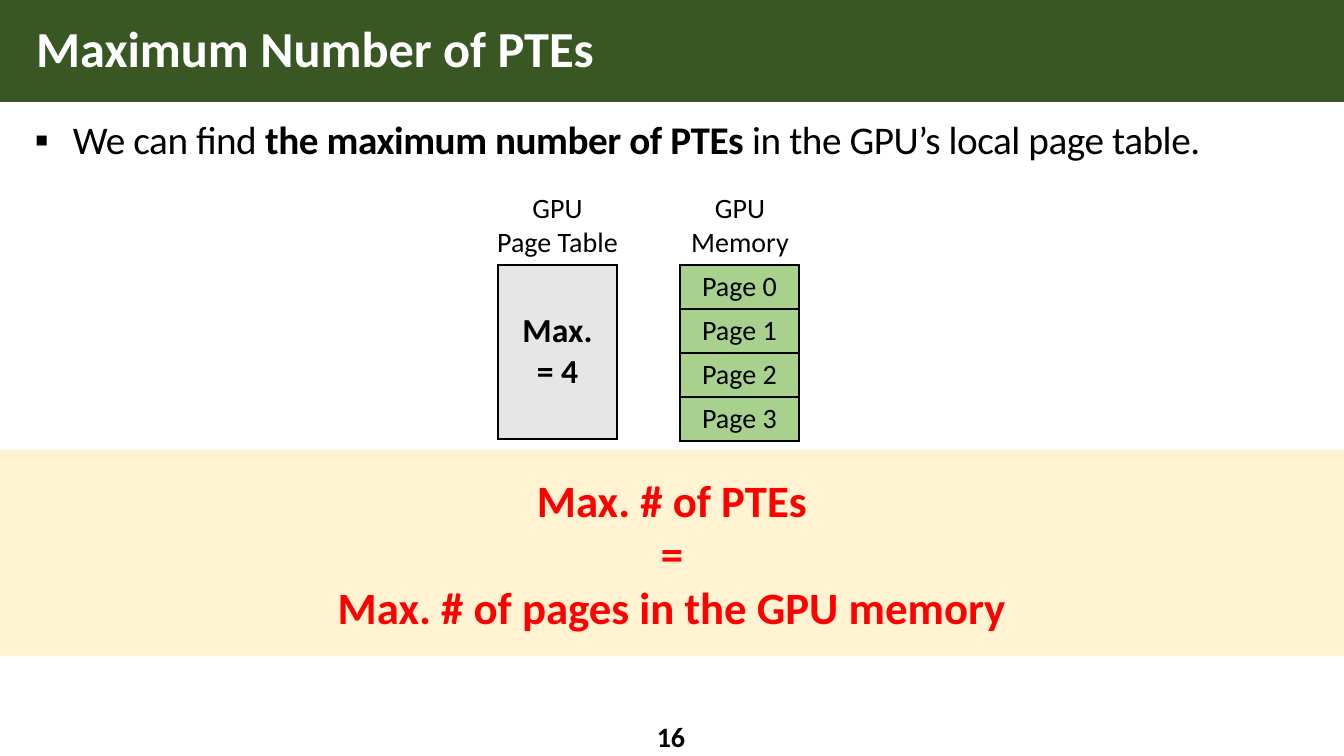
"""Build the slide on the maximum number of page table entries."""
from lxml.etree import SubElement
from pptx import Presentation
from pptx.dml.color import RGBColor
from pptx.enum.shapes import MSO_SHAPE
from pptx.enum.text import MSO_ANCHOR, MSO_AUTO_SIZE, PP_ALIGN
from pptx.oxml import parse_xml
from pptx.oxml.ns import nsdecls, qn
from pptx.util import Emu, Pt

SCALE = 914400 / 100.8
COLORS = {name: RGBColor.from_string(value) for name, value in {
    "band": "385723", "white": "FFFFFF", "black": "000000", "red": "FF0000",
    "page": "A9D18E", "page_table": "E7E6E6", "callout": "FFF2CC"}.items()}


def px(*lengths):
    return [Emu(round(length * SCALE)) for length in lengths]


def write(frame, text, size, color="black", bold=False, align=PP_ALIGN.CENTER):
    frame.text = text
    frame.word_wrap = True
    for paragraph in frame.paragraphs:
        paragraph.alignment = align
        formats = {"name": "Calibri", "size": Pt(size), "bold": bold}
        for run in paragraph.runs:
            for attribute, value in formats.items():
                setattr(run.font, attribute, value)
            run.font.color.rgb = COLORS[color]


presentation = Presentation()
presentation.slide_width, presentation.slide_height = px(1344, 756)
slide = presentation.slides.add_slide(presentation.slide_layouts[5])
shapes = slide.shapes

title = shapes.title
title.left, title.top, title.width, title.height = px(26, 0, 1288, 102)
write(title.text_frame, "Maximum Number of PTEs", 36, "white", True, PP_ALIGN.LEFT)
title.text_frame.vertical_anchor = MSO_ANCHOR.MIDDLE
title.text_frame.auto_size = MSO_AUTO_SIZE.NONE
title.text_frame.paragraphs[0].line_spacing = 0.9

body = shapes.add_textbox(*px(27, 113, 1288, 582)).text_frame
write(body, "", 28)
margins = ("margin_left", "margin_top", "margin_right", "margin_bottom")
for margin, length in zip(margins, px(8, 8, 4, 0)):
    setattr(body, margin, length)
paragraph = body.paragraphs[0]
properties = paragraph._p.get_or_add_pPr()
indent = px(38)[0]
properties.set("marL", str(indent))
properties.set("indent", str(-indent))
SubElement(properties, qn("a:buFont")).set("typeface", "Calibri")
SubElement(properties, qn("a:buChar")).set("char", "▪")
paragraph.alignment = PP_ALIGN.LEFT
paragraph.line_spacing = 0.9
for text, bold in [("We can find ", False), ("the maximum number of PTEs", True),
                   (" in the GPU’s local page table.", False)]:
    run = paragraph.add_run()
    run.text = text
    for attribute, value in {"name": "Calibri", "size": Pt(28), "bold": bold}.items():
        setattr(run.font, attribute, value)
    run.font.color.rgb = COLORS["black"]
    run._r.get_or_add_rPr().set("spc", "-30")

for text, left, width in [("GPU Memory", 676, 128), ("GPU\nPage Table", 483, 149)]:
    label = shapes.add_textbox(*px(left, 186, width, 78))
    write(label.text_frame, text, 20)

tables = [
    (498, 174, ["Max.\n= 4"], 24, True, "page_table"),
    (680, 44, [f"Page {number}" for number in range(4)], 20, False, "page"),
]
for left, row_height, texts, size, bold, fill in tables:
    frame = shapes.add_table(len(texts), 1, *px(left, 265, 119, row_height * len(texts)))
    table = frame.table
    table.first_row = table.horz_banding = False
    for row, text in enumerate(texts):
        table.rows[row].height = px(row_height)[0]
        cell = table.cell(row, 0)
        write(cell.text_frame, text, size, bold=bold)
        cell.vertical_anchor = MSO_ANCHOR.MIDDLE
        cell.margin_top, cell.margin_bottom = px(4, 4)
        cell_properties = cell._tc.get_or_add_tcPr()
        for side in ("lnL", "lnR", "lnT", "lnB"):
            cell_properties.append(parse_xml(
                f'<a:{side} {nsdecls("a")} w="{Pt(1.5)}"><a:solidFill>'
                f'<a:srgbClr val="{COLORS["black"]}"/></a:solidFill></a:{side}>'))
        cell.fill.solid()
        cell.fill.fore_color.rgb = COLORS[fill]

rectangles = {}
for name, top, height in [("band", 0, 102), ("callout", 450, 206)]:
    rectangle = shapes.add_shape(MSO_SHAPE.RECTANGLE, *px(0, top, 1344, height))
    rectangle.shadow.inherit = False
    rectangle.fill.solid()
    rectangle.fill.fore_color.rgb = COLORS[name]
    rectangle.line.fill.background()
    rectangles[name] = rectangle
title._element.addprevious(rectangles["band"]._element)

callout = rectangles["callout"]
callout_color = callout._element.spPr.find(qn("a:solidFill")).find(qn("a:srgbClr"))
SubElement(callout_color, qn("a:alpha")).set("val", "90000")
callout.text_frame.vertical_anchor = MSO_ANCHOR.MIDDLE
write(callout.text_frame, "Max. # of PTEs\n=\nMax. # of pages in the GPU memory", 32, "red", True)

page_number = shapes.add_textbox(*px(598, 716, 146, 40)).text_frame
page_number.vertical_anchor = MSO_ANCHOR.MIDDLE
write(page_number, "16", 20, bold=True)

presentation.save("out.pptx")
